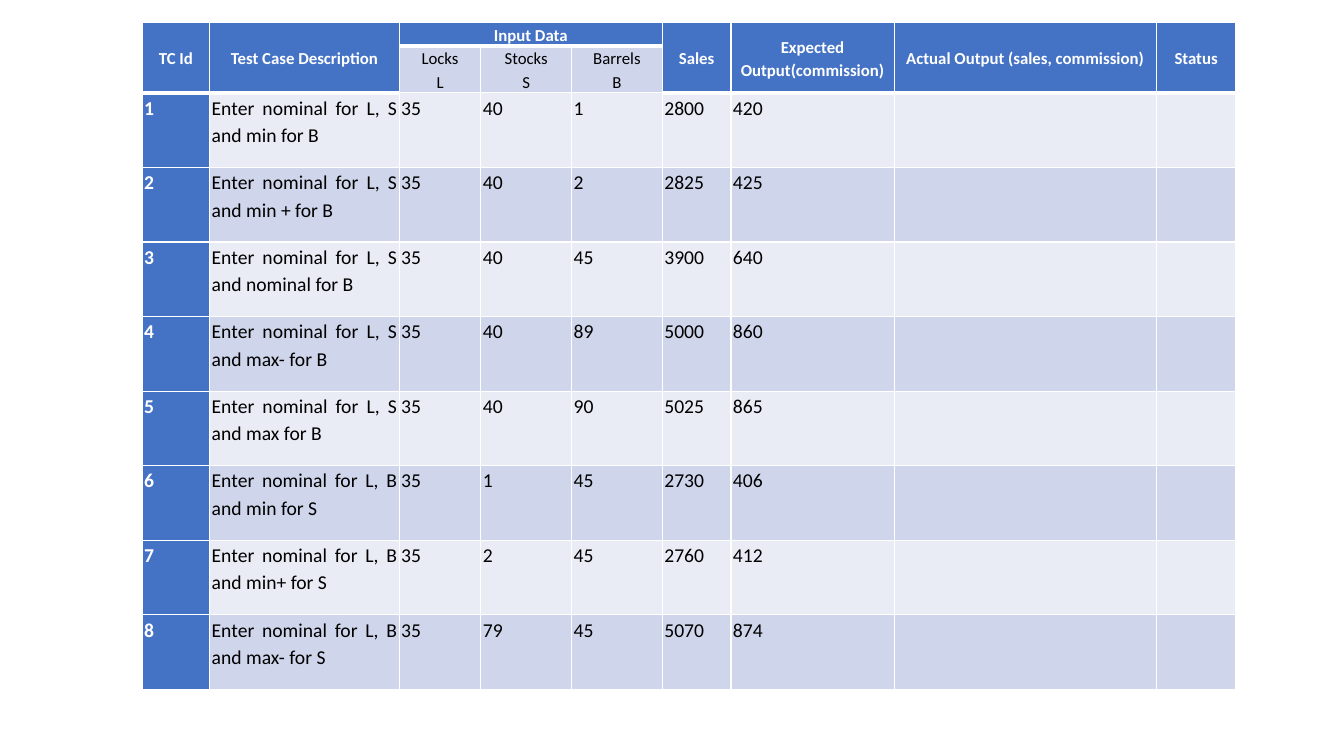
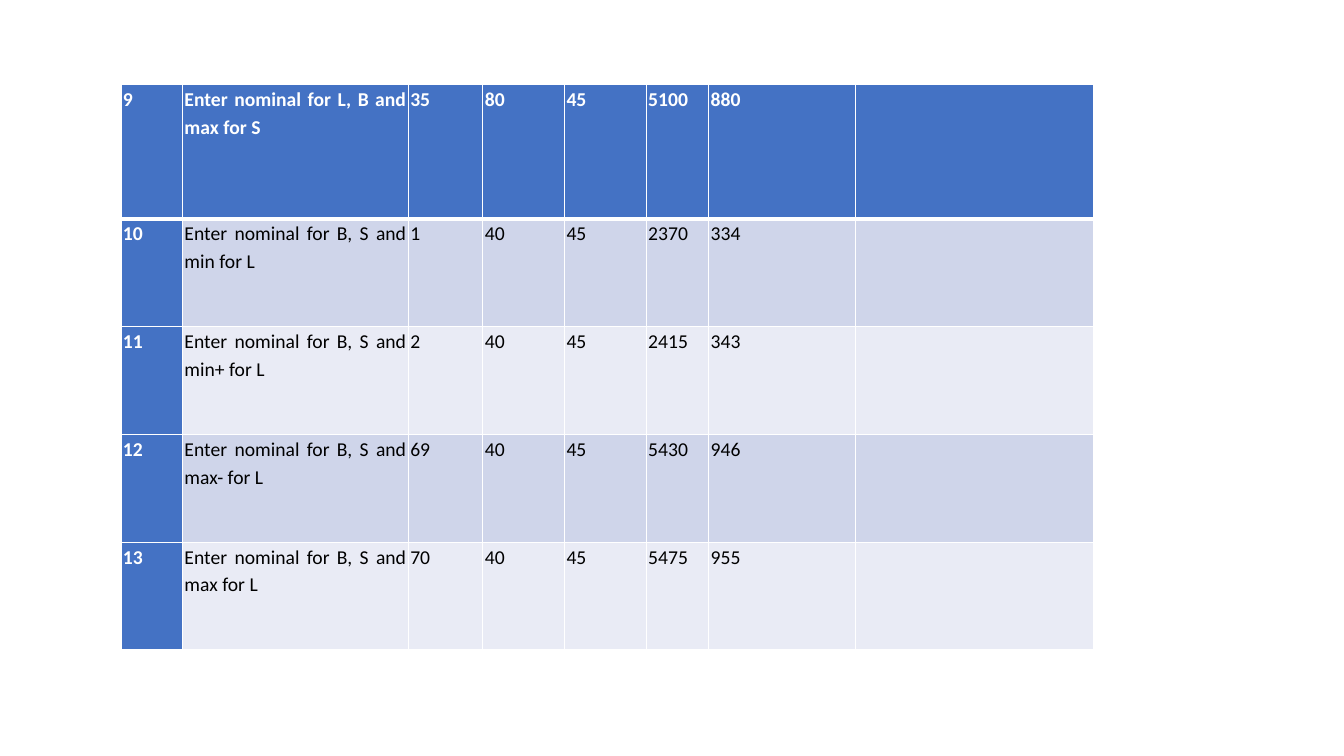
import pptx
import pptx.dml.color
import pptx.enum.text
import pptx.oxml
import pptx.oxml.ns
import pptx.util

PX = 9144  # EMU, 100 px to the inch
PAGE_SIZE = (1333, 750)
FONT = "Calibri"

RGB = pptx.dml.color.RGBColor
BLUE = RGB(0x44, 0x72, 0xC4)
BAND_DARK = RGB(0xCF, 0xD5, 0xEA)
BAND_LIGHT = RGB(0xE9, 0xEB, 0xF5)
WHITE = RGB(0xFF, 0xFF, 0xFF)
BLACK = RGB(0, 0, 0)

ALIGN = pptx.enum.text.PP_ALIGN
ANCHOR = pptx.enum.text.MSO_ANCHOR

HEADINGS = ["TC Id", "Test Case Description", "Input Data", "", "", "Sales",
            "Expected Output(commission)", "Actual Output (sales, commission)", "Status"]
INPUTS = {2: "Locks\nL", 3: "Stocks\nS", 4: "Barrels\nB"}

# description, locks, stocks, barrels, sales, expected commission
CASES = [
    ("Enter nominal for L, S and min for B", 35, 40, 1, 2800, 420),
    ("Enter nominal for L, S and min + for B", 35, 40, 2, 2825, 425),
    ("Enter nominal for L, S and nominal for B", 35, 40, 45, 3900, 640),
    ("Enter nominal for L, S and max- for B", 35, 40, 89, 5000, 860),
    ("Enter nominal for L, S and max for B", 35, 40, 90, 5025, 865),
    ("Enter nominal for L, B and min for S", 35, 1, 45, 2730, 406),
    ("Enter nominal for L, B and min+ for S", 35, 2, 45, 2760, 412),
    ("Enter nominal for L, B and max- for S", 35, 79, 45, 5070, 874),
    ("Enter nominal for L, B and max for S", 35, 80, 45, 5100, 880),
    ("Enter nominal for B, S and min for L", 1, 40, 45, 2370, 334),
    ("Enter nominal for B, S and min+ for L", 2, 40, 45, 2415, 343),
    ("Enter nominal for B, S and max- for L", 69, 40, 45, 5430, 946),
    ("Enter nominal for B, S and max for L", 70, 40, 45, 5475, 955),
]
FIRST_PAGE_CASES = 8

FIRST_TABLE = {"left": 141, "top": 22, "columns": [67, 188, 81, 90, 90, 68, 162, 260, 79],
               "rows": [23, 46] + [74] * FIRST_PAGE_CASES}
SECOND_TABLE = {"left": 120, "top": 84, "columns": [61, 224, 74, 81, 81, 62, 146, 236],
                "rows": [133] + [107] * 4}


def write(cell, text, size=14, color=BLACK, bold=False, align=ALIGN.JUSTIFY, anchor=ANCHOR.TOP):
    cell.vertical_anchor = anchor
    for index, line in enumerate(str(text).split("\n")):
        frame = cell.text_frame
        para = frame.add_paragraph() if index else frame.paragraphs[0]
        para.alignment = align
        para.line_spacing = 1.15
        span = para.add_run()
        span.text = line
        span.font.name = FONT
        span.font.size = pptx.util.Pt(size)
        span.font.bold = bold
        span.font.color.rgb = color


def set_borders(cell, **widths):
    """Draw white borders; widths are points keyed by side: L, R, T, B."""
    properties = cell._tc.get_or_add_tcPr()
    for side, width in widths.items():
        properties.append(pptx.oxml.parse_xml(
            f'<a:ln{side} {pptx.oxml.ns.nsdecls("a")} w="{pptx.util.Pt(width)}">'
            f'<a:solidFill><a:srgbClr val="{WHITE}"/></a:solidFill></a:ln{side}>'))


def add_grid(page, layout, is_header):
    """Add an empty banded table; is_header(row, column) marks the header cells."""
    columns, rows = layout["columns"], layout["rows"]
    bounds = (layout["left"], layout["top"], sum(columns), sum(rows))
    table = page.shapes.add_table(len(rows), len(columns), *(n * PX for n in bounds)).table
    for column, width in zip(table.columns, columns):
        column.width = width * PX
    for r, height in enumerate(rows):
        table.rows[r].height = height * PX
        for c in range(len(columns)):
            cell = table.cell(r, c)
            cell.margin_left = cell.margin_right = 2 * PX
            cell.margin_top = cell.margin_bottom = 0
            below_header = r > 0 and is_header(r - 1, c)
            set_borders(cell, L=1, R=1, T=3 if below_header else 1,
                        B=3 if is_header(r, c) else 1)
            cell.fill.solid()
            if c == 0 or is_header(r, c):
                cell.fill.fore_color.rgb = BLUE
            else:
                cell.fill.fore_color.rgb = BAND_DARK if r % 2 else BAND_LIGHT
    return table


def write_cases(table, first_row, first_id, cases, is_header):
    for offset, case in enumerate(cases):
        r = first_row + offset
        for c, value in enumerate((first_id + offset, *case)):
            strong = c == 0 or is_header(r, c)
            write(table.cell(r, c), value, color=WHITE if strong else BLACK, bold=strong)


def build_first_page(page):
    def is_header(r, c):
        return r == 0 or (r == 1 and c not in INPUTS)

    table = add_grid(page, FIRST_TABLE, is_header)
    table.cell(0, min(INPUTS)).merge(table.cell(0, max(INPUTS)))
    for c, heading in enumerate(HEADINGS):
        if c in INPUTS:
            write(table.cell(1, c), INPUTS[c], size=12, align=ALIGN.CENTER)
        else:
            table.cell(0, c).merge(table.cell(1, c))
        if heading:
            write(table.cell(0, c), heading, size=12, color=WHITE, bold=True,
                  align=ALIGN.CENTER, anchor=ANCHOR.MIDDLE)
    write_cases(table, 2, 1, CASES[:FIRST_PAGE_CASES], is_header)


def build_second_page(page):
    def is_header(r, c):
        return r == 0

    table = add_grid(page, SECOND_TABLE, is_header)
    write_cases(table, 0, FIRST_PAGE_CASES + 1, CASES[FIRST_PAGE_CASES:], is_header)


def main():
    deck = pptx.Presentation()
    deck.slide_width, deck.slide_height = (n * PX for n in PAGE_SIZE)
    blank = deck.slide_layouts[6]
    for build in (build_first_page, build_second_page):
        build(deck.slides.add_slide(blank))
    deck.save("out.pptx")


if __name__ == "__main__":
    main()
